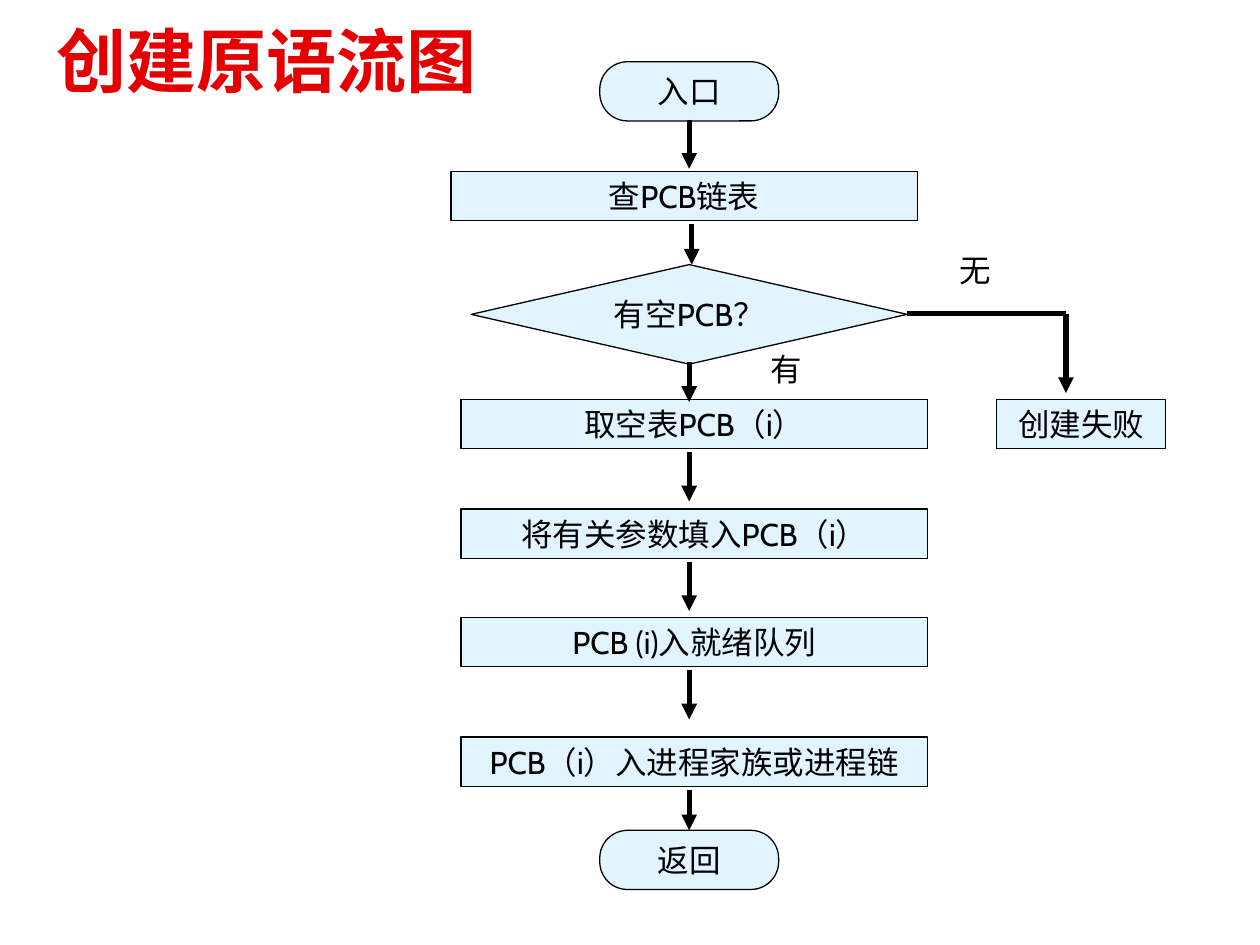
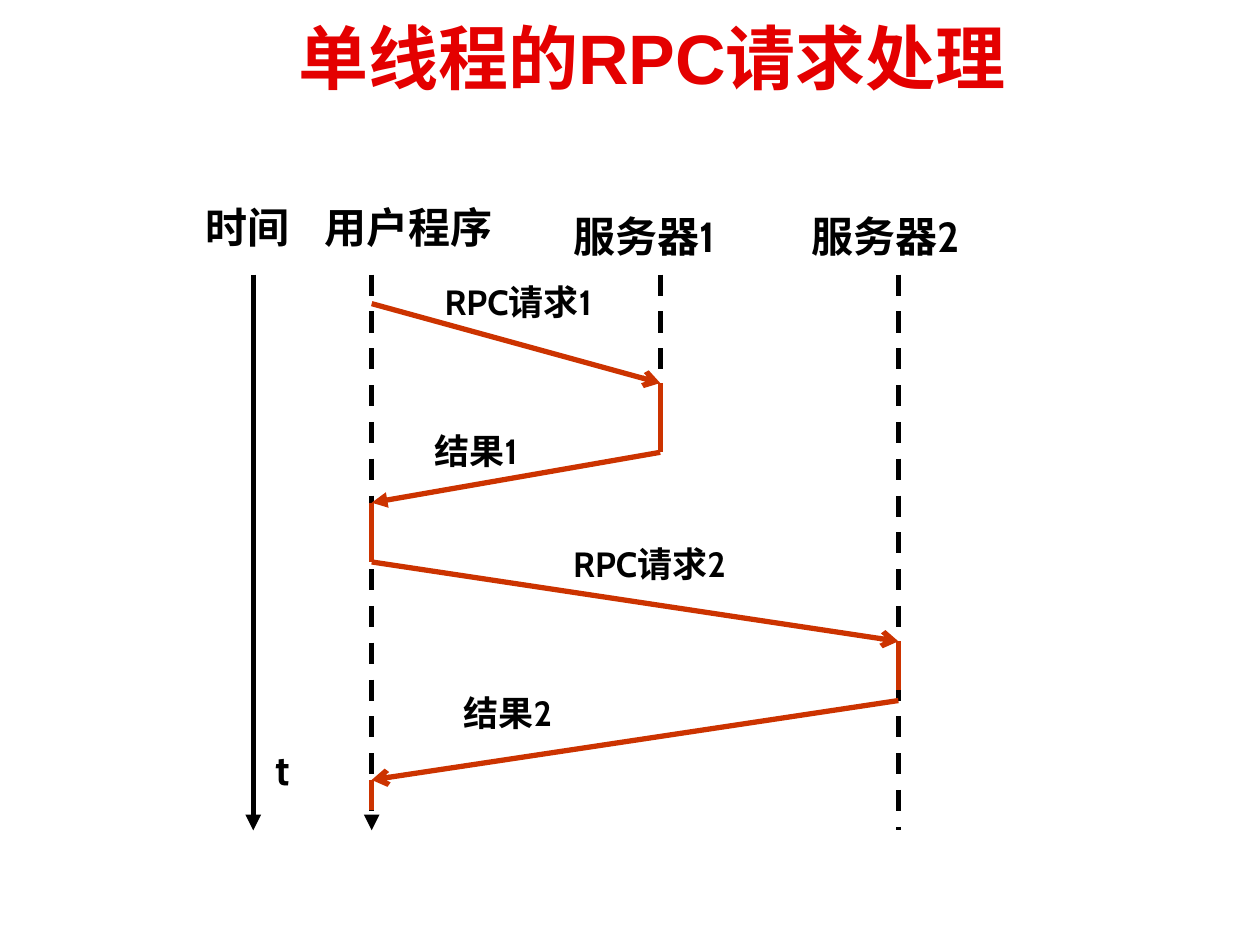
from dataclasses import dataclass

from lxml.etree import SubElement
from pptx import Presentation
from pptx.dml.color import RGBColor
from pptx.enum.dml import MSO_LINE_DASH_STYLE as Dash
from pptx.enum.shapes import MSO_CONNECTOR as Connector, MSO_SHAPE as Shape
from pptx.enum.text import MSO_ANCHOR as Anchor, PP_ALIGN as Align
from pptx.oxml.ns import qn
from pptx.util import Inches, Pt


@dataclass(frozen=True)
class Theme:
    title_color: str = "E40000"
    ink: str = "000000"
    node_fill: str = "E1F4FF"
    message: str = "CC3300"
    title_font: str = "Arial"
    body_font: str = "Cabin"
    title_size: float = 40
    lane_size: float = 24
    message_size: float = 20
    node_size: float = 18
    outline: float = 0.75
    stroke: float = 3


THEME = Theme()
SLIDE_W, SLIDE_H = 10, 7.5

# Flow chart content: kinds of node are (shape, width, height, arrow overlap)
NODE_KINDS = {
    "terminal": (Shape.ROUNDED_RECTANGLE, 1.42, 0.47, -0.01),
    "step": (Shape.RECTANGLE, 3.7, 0.39, 0.03),
    "decision": (Shape.DIAMOND, 3.46, 0.79, -0.02),
    "failure": (Shape.RECTANGLE, 1.34, 0.39, 0),
}
AXIS = 5.47
SHORT, LONG = 0.32, 0.39
FLOW_TITLE = ("创建原语流图", 0.35, 0.28, 4.1, 0.39)
# kind, text, top, offset from the axis, length and offset of the arrow below
FLOW = [
    ("terminal", "入口", 0.49, 0, LONG, 0),
    ("step", "查PCB链表", 1.36, -0.04, SHORT, 0.02),
    ("decision", "有空PCB？", 2.1, 0, SHORT, 0),
    ("step", "取空表PCB（i）", 3.17, 0.04, LONG, 0),
    ("step", "将有关参数填入PCB（i）", 4.04, 0.04, LONG, 0),
    ("step", "PCB (i)入就绪队列", 4.9, 0.04, LONG, 0),
    ("step", "PCB（i）入进程家族或进程链", 5.85, 0.04, SHORT, 0),
    ("terminal", "返回", 6.59, 0, None, 0),
]
FAILURE = ("failure", "创建失败", 3.17, 8.58)
BRANCH = [(7.2, 2.49), (8.46, 2.49), (8.46, 3.12)]
ANSWERS = [("无", 7.52, 1.94), ("有", 6.02, 2.73)]

# Sequence diagram content
RPC_TITLE = ("单线程的RPC请求处理", 2.27, 0.09, 6.82, 0.71)
LANE_TOP, LANE_END = 2.18, 6.59
# lane: heading, heading left and top, line x, line end, dashed, arrowhead
LANES = {
    "time": ("时间", 1.53, 1.55, 2.01, LANE_END, False, "triangle"),
    "user": ("用户程序", 2.48, 1.55, 2.95, LANE_END, True, "triangle"),
    "server2": ("服务器2", 6.34, 1.62, 7.13, LANE_END, True, None),
    "server1": ("服务器1", 4.45, 1.62, 5.24, 3.04, True, None),
}
TIME_MARK = ("t", 2.09, 5.85)
# from lane, y, to lane, y, arrowhead
CALLS = [
    ("user", 2.41, "server1", 3.04, "arrow"),
    ("server1", 3.04, "server1", 3.59, None),
    ("server1", 3.59, "user", 3.99, "triangle"),
    ("user", 4.46, "server2", 5.09, "arrow"),
    ("server2", 5.56, "user", 6.19, "arrow"),
    ("user", 3.99, "user", 4.46, None),
    ("server2", 5.09, "server2", 5.48, None),
    ("user", 6.19, "user", 6.43, None),
]
CALL_LABELS = [
    ("RPC请求1", 3.43, 2.18),
    ("RPC请求2", 4.45, 4.26),
    ("结果1", 3.35, 3.36),
    ("结果2", 3.58, 5.44),
]


def rgb(value):
    return RGBColor.from_string(value)


def write(frame, text, size, bold=False, font=THEME.body_font, color=THEME.ink):
    paragraph = frame.paragraphs[0]
    paragraph.text = text
    paragraph.font.size = Pt(size)
    paragraph.font.bold = bold
    paragraph.font.name = font
    paragraph.font.color.rgb = rgb(color)
    return paragraph


def add_label(slide, text, left, top, width, height, size, bold=False, **style):
    box = slide.shapes.add_textbox(*map(Inches, (left, top, width, height)))
    box.text_frame.word_wrap = True
    write(box.text_frame, text, size, bold, **style)
    return box


def add_title(slide, text, left, top, width, height):
    title = add_label(slide, text, left, top, width, height, THEME.title_size, True,
                      font=THEME.title_font, color=THEME.title_color)
    title.text_frame.vertical_anchor = Anchor.MIDDLE


def add_line(slide, start, end, head=None, color=THEME.ink, dashed=False):
    line = slide.shapes.add_connector(Connector.STRAIGHT, *map(Inches, (*start, *end)))
    line.line.color.rgb = rgb(color)
    line.line.width = Pt(THEME.stroke)
    if dashed:
        line.line.dash_style = Dash.DASH
    if head:
        SubElement(line.line._get_or_add_ln(), qn("a:tailEnd"), type=head)
    SubElement(line._element.spPr, qn("a:effectLst"))


def add_node(slide, kind, text, top, center):
    shape, width, height, _ = NODE_KINDS[kind]
    node = slide.shapes.add_shape(
        shape, *map(Inches, (center - width / 2, top, width, height)))
    node.shadow.inherit = False
    node.fill.solid()
    node.fill.fore_color.rgb = rgb(THEME.node_fill)
    node.line.color.rgb = rgb(THEME.ink)
    node.line.width = Pt(THEME.outline)
    if kind == "terminal":
        node.adjustments[0] = 0.47
    node.text_frame.word_wrap = False
    node.text_frame.vertical_anchor = Anchor.MIDDLE
    write(node.text_frame, text, THEME.node_size).alignment = Align.CENTER


def build_flow(slide):
    add_title(slide, *FLOW_TITLE)
    # Main column, then the failure branch
    for kind, text, top, offset, *_ in FLOW:
        add_node(slide, kind, text, top, AXIS + offset)
    add_node(slide, *FAILURE)
    for kind, _, top, _, length, shift in FLOW:
        if length:
            _, _, height, gap = NODE_KINDS[kind]
            x, y = AXIS + shift, top + height + gap
            add_line(slide, (x, y), (x, y + length), "triangle")
    exit_point, corner, landing = BRANCH
    add_line(slide, exit_point, corner)
    add_line(slide, corner, landing, "triangle")
    for text, left, top in ANSWERS:
        add_label(slide, text, left, top, 0.79, 0.4, THEME.node_size)


def build_rpc(slide):
    add_title(slide, *RPC_TITLE)
    # Lanes with their headings
    lane_x = {}
    for lane, (heading, left, top, x, end, dashed, head) in LANES.items():
        lane_x[lane] = x
        add_line(slide, (x, LANE_TOP), (x, end), head, dashed=dashed)
        add_label(slide, heading, left, top, 1.65, 0.5, THEME.lane_size, True)
    add_label(slide, *TIME_MARK, 1.02, 0.5, THEME.lane_size, True)
    # Calls, replies and periods of activity
    for source, start, target, end, head in CALLS:
        add_line(slide, (lane_x[source], start), (lane_x[target], end), head,
                 THEME.message)
    for text, left, top in CALL_LABELS:
        add_label(slide, text, left, top, 1.65, 0.44, THEME.message_size, True)


def main():
    deck = Presentation()
    deck.slide_width, deck.slide_height = Inches(SLIDE_W), Inches(SLIDE_H)
    blank = deck.slide_layouts[6]
    for build in (build_flow, build_rpc):
        build(deck.slides.add_slide(blank))
    deck.save("out.pptx")


if __name__ == "__main__":
    main()
